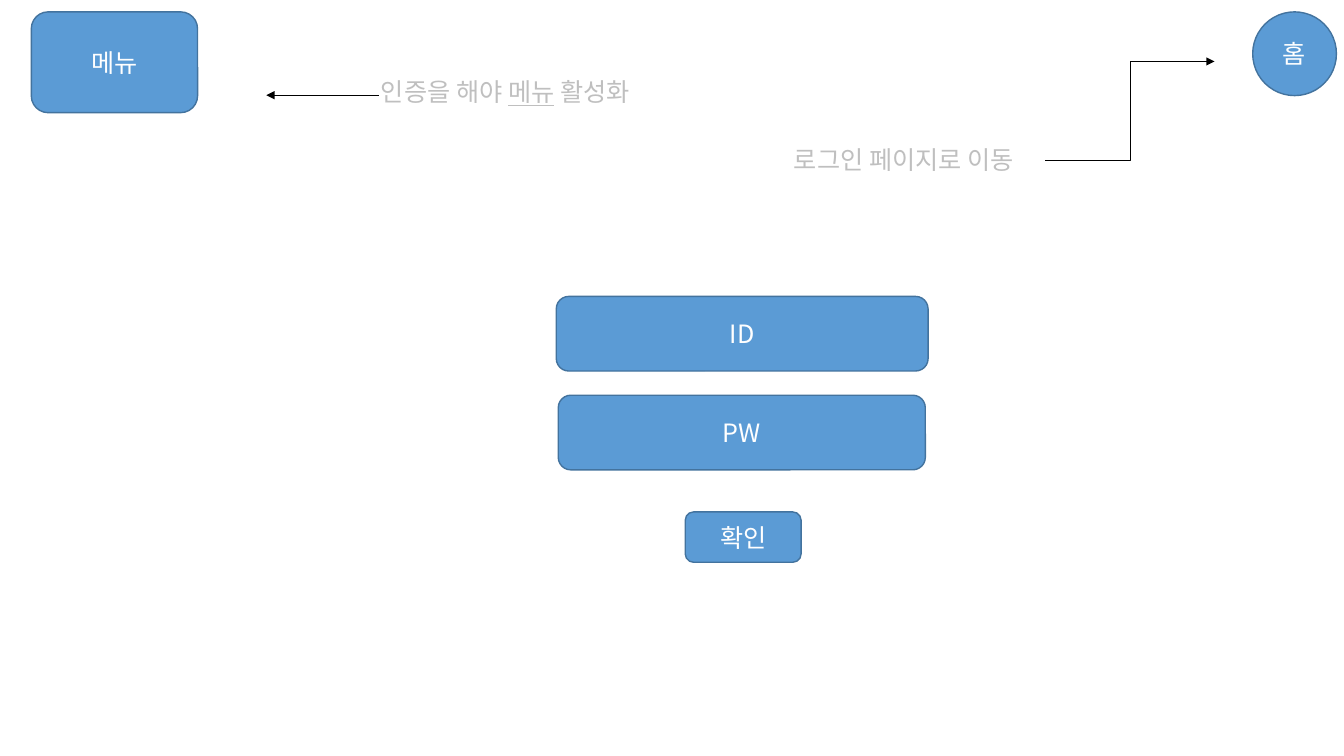
from dataclasses import dataclass

import lxml.etree
import pptx
import pptx.dml.color
import pptx.enum.shapes
import pptx.enum.text
import pptx.oxml.ns
import pptx.util

Cm = pptx.util.Cm
Pt = pptx.util.Pt
RGBColor = pptx.dml.color.RGBColor
Shape = pptx.enum.shapes.MSO_SHAPE
Connector = pptx.enum.shapes.MSO_CONNECTOR
qn = pptx.oxml.ns.qn

FONT = "Noto Sans CJK KR"
BLUE = RGBColor(0x5B, 0x9B, 0xD5)
BLUE_EDGE = RGBColor(0x43, 0x73, 0x9E)
WHITE = RGBColor(0xFF, 0xFF, 0xFF)
GRAY = RGBColor(0xBF, 0xBF, 0xBF)
BLACK = RGBColor(0, 0, 0)


@dataclass
class Button:
    label: str
    left: float
    top: float
    width: float
    height: float
    outline: Shape = Shape.ROUNDED_RECTANGLE


@dataclass
class Note:
    spans: list[str]
    left: float
    top: float
    width: float
    underlined: str = ""


@dataclass
class Arrow:
    kind: Connector
    start: tuple[float, float]
    end: tuple[float, float]


# Lengths in centimetres
BUTTONS = [
    Button("메뉴", 0.79, 0.3, 4.19, 2.54),
    Button("ID", 14.02, 7.47, 9.37, 1.88),
    Button("PW", 14.07, 9.96, 9.25, 1.88),
    Button("확인", 17.27, 12.9, 2.92, 1.27),
    Button("홈", 31.57, 0.3, 2.11, 2.11, Shape.OVAL),
]
NOTES = [
    Note(["인증을 해야 ", "메뉴", " 활성화"], 9.35, 1.8, 7.59, underlined="메뉴"),
    Note(["로그인 페이지로 이동"], 19.76, 3.51, 6.73),
]
ARROWS = [
    Arrow(Connector.STRAIGHT, (9.55, 2.4), (6.71, 2.4)),
    Arrow(Connector.ELBOW, (26.34, 4.04), (30.61, 1.55)),
]


def style_paragraph(para, color: RGBColor) -> None:
    para.font.size = Pt(18)
    para.font.color.rgb = color
    para.font.name = FONT
    # Korean letters take the East Asian typeface
    defaults = para._p.pPr.find(qn("a:defRPr"))
    lxml.etree.SubElement(defaults, qn("a:ea"), typeface=FONT)


def add_button(page, button: Button) -> None:
    box = page.shapes.add_shape(button.outline, Cm(button.left), Cm(button.top),
                                Cm(button.width), Cm(button.height))
    box.shadow.inherit = False
    box.fill.solid()
    box.fill.fore_color.rgb = BLUE
    box.line.color.rgb = BLUE_EDGE
    box.line.width = Pt(1)
    box.text_frame.vertical_anchor = pptx.enum.text.MSO_ANCHOR.MIDDLE
    para = box.text_frame.paragraphs[0]
    para.text = button.label
    para.alignment = pptx.enum.text.PP_ALIGN.CENTER
    style_paragraph(para, WHITE)


def add_note(page, note: Note) -> None:
    box = page.shapes.add_textbox(Cm(note.left), Cm(note.top), Cm(note.width), Cm(1.02))
    box.text_frame.word_wrap = False
    box.text_frame.auto_size = pptx.enum.text.MSO_AUTO_SIZE.SHAPE_TO_FIT_TEXT
    para = box.text_frame.paragraphs[0]
    for text in note.spans:
        span = para.add_run()
        span.text = text
        if text == note.underlined:
            span.font.underline = True
    style_paragraph(para, GRAY)


def add_arrow(page, arrow: Arrow) -> None:
    line = page.shapes.add_connector(arrow.kind, *map(Cm, arrow.start + arrow.end))
    line.line.color.rgb = BLACK
    line.line.width = Pt(0.5)
    properties = line._element.spPr
    lxml.etree.SubElement(properties.find(qn("a:ln")), qn("a:tailEnd"), type="triangle")
    lxml.etree.SubElement(properties, qn("a:effectLst"))


def main() -> None:
    deck = pptx.Presentation()
    deck.slide_width, deck.slide_height = Cm(33.87), Cm(19.05)
    page = deck.slides.add_slide(deck.slide_layouts[6])

    # Buttons and login fields
    for button in BUTTONS:
        add_button(page, button)

    # Explanations with their arrows
    for arrow in ARROWS:
        add_arrow(page, arrow)
    for note in NOTES:
        add_note(page, note)

    deck.save("out.pptx")


if __name__ == "__main__":
    main()
